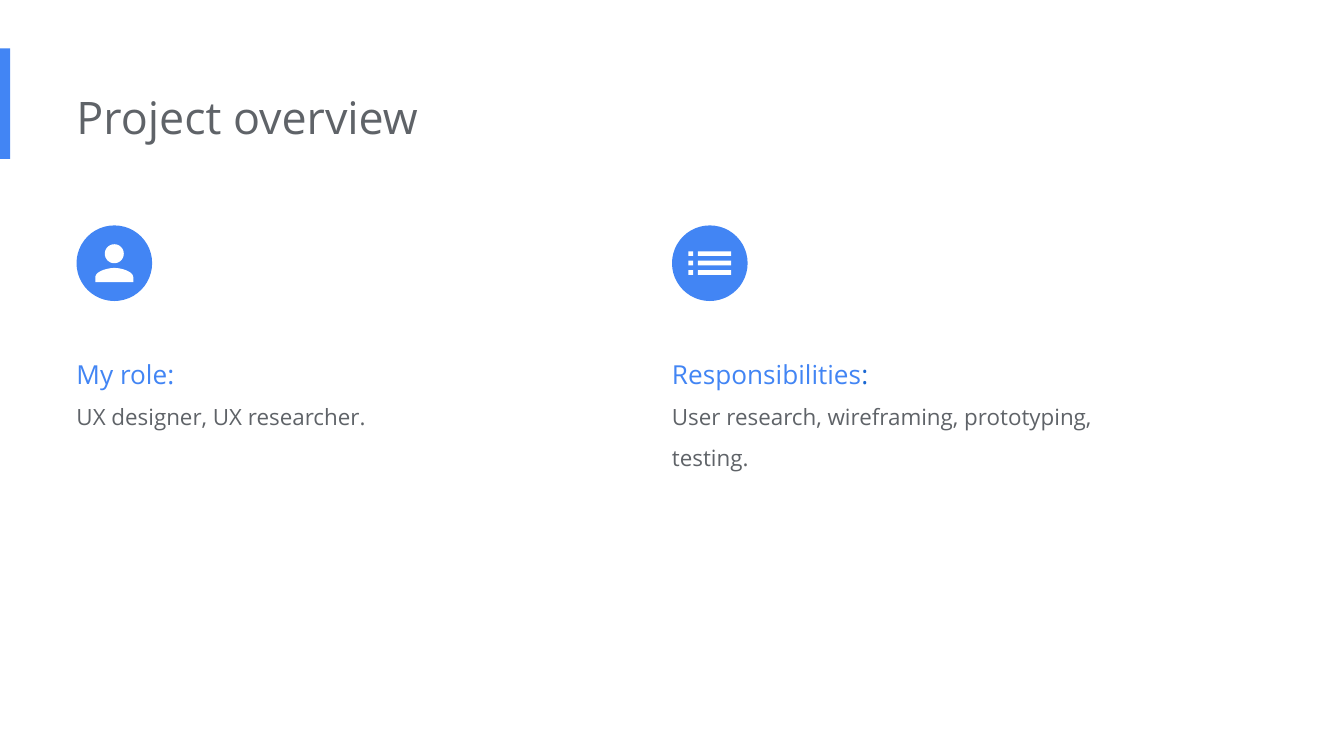
import math
import pptx
import pptx.util
import pptx.dml.color
import pptx.enum.shapes
import pptx.enum.text

Pt = pptx.util.Pt
Kind = pptx.enum.shapes.MSO_SHAPE
theme = {
    "font": "Open Sans",
    "blue": "4285F4", "deep": "1967D2", "gray": "5F6368", "white": "FFFFFF",
    "title": 24, "head": 14, "body": 12,
}

deck = pptx.Presentation()
deck.slide_width, deck.slide_height = Pt(720), Pt(405)
slide = deck.slides.add_slide(deck.slide_layouts[6])
shapes = slide.shapes


def paint(shape, color):
    shape.shadow.inherit = False
    shape.fill.solid()
    shape.fill.fore_color.rgb = pptx.dml.color.RGBColor.from_string(theme[color])
    shape.line.fill.background()


def write(box, lines, gap):
    frame = shapes.add_textbox(*map(Pt, box)).text_frame
    form = {
        "word_wrap": True,
        "auto_size": pptx.enum.text.MSO_AUTO_SIZE.SHAPE_TO_FIT_TEXT,
        "margin_left": 0, "margin_right": Pt(7.2),
        "margin_top": Pt(7.2), "margin_bottom": Pt(7.2),
    }
    for name, value in form.items():
        setattr(frame, name, value)
    for row, (size, runs) in enumerate(lines):
        para = frame.add_paragraph() if row else frame.paragraphs[0]
        para.line_spacing = gap
        for text, color in runs:
            run = para.add_run()
            run.text = text
            run.font.name = theme["font"]
            run.font.size = Pt(theme[size])
            run.font.color.rgb = pptx.dml.color.RGBColor.from_string(theme[color])


paint(shapes.add_shape(Kind.RECTANGLE, 0, Pt(26), Pt(5.5), Pt(59.25)), "blue")
write((41, 41, 484.5, 44), [("title", [("Project overview", "gray")])], 1)

turn = [math.tau * step / 48 for step in range(48)]
face = [(12 + 4 * math.cos(a), 8 + 4 * math.sin(a)) for a in turn]
curve = []
for step in range(17):
    t = step / 16
    s = 1 - t
    curve.append((
        12 * s**3 + 3 * 9.33 * s * s * t + 3 * 4 * s * t * t + 4 * t**3,
        14 * s**3 + 3 * 14 * s * s * t + 3 * 15.34 * s * t * t + 18 * t**3,
    ))
torso = curve + [(4, 20), (20, 20)] + [(24 - x, y) for x, y in reversed(curve)]
bars = [
    [(left, top), (right, top), (right, top + 2), (left, top + 2)]
    for left, right in ((3, 5), (7, 21)) for top in (7, 11, 15)
]

parts = [
    (41, 54.5, [face, torso], [("My role:", "blue")],
     "UX designer, UX researcher."),
    (360, 76.5, bars, [("Responsibilities", "blue"), (":", "deep")],
     "User research, wireframing, prototyping, testing."),
]
disc, unit = 40.5, 1.27
for left, tall, loops, head, body in parts:
    write((left, 176.5, 271.5, tall),
          [("head", head), ("body", [(body, "gray")])], 1.5)
    paint(shapes.add_shape(Kind.OVAL, Pt(left), Pt(120.75), Pt(disc), Pt(disc)), "blue")
    path = None
    for loop in loops:
        dots = [(x * 100, y * 100) for x, y in loop]
        if path is None:
            path = shapes.build_freeform(*dots[0], scale=Pt(unit) / 100)
        else:
            path.move_to(*dots[0])
        path.add_line_segments(dots[1:], close=True)
    inset = disc / 2 - 12 * unit
    paint(path.convert_to_shape(Pt(left + inset), Pt(120.75 + inset)), "white")

deck.save("out.pptx")
